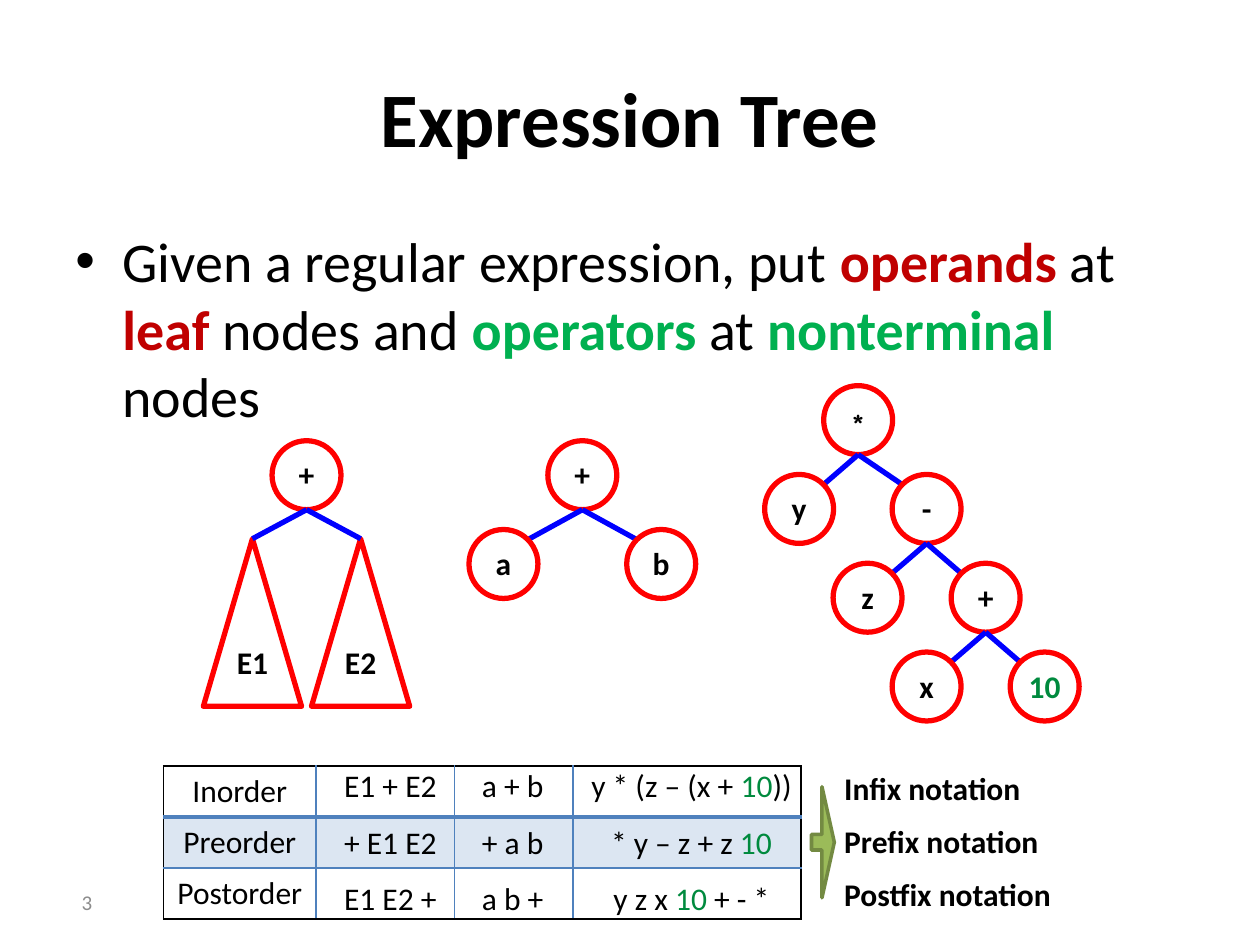
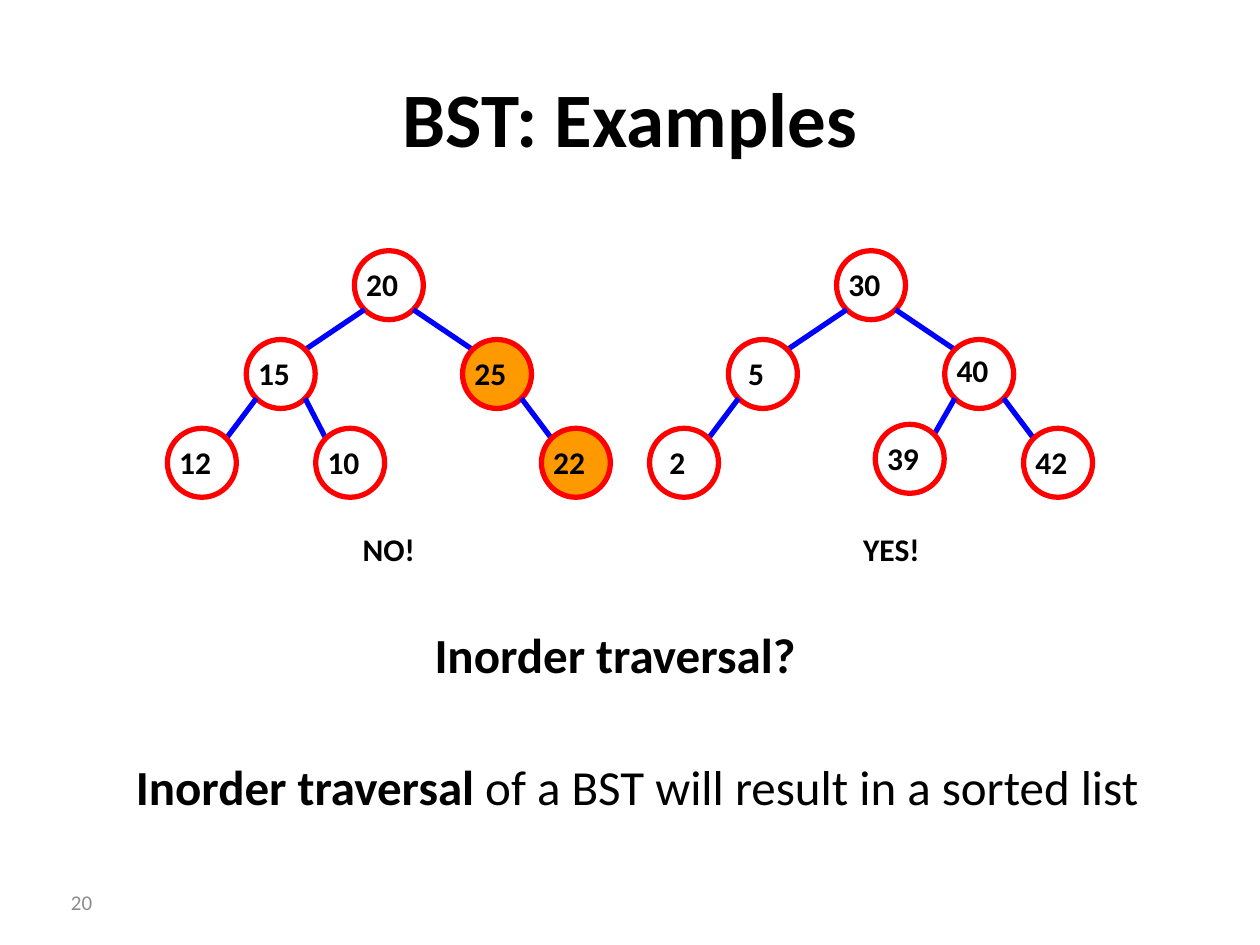
from dataclasses import dataclass
from math import cos, sin, pi

from pptx import Presentation
from pptx.dml.color import RGBColor
from pptx.enum.shapes import MSO_CONNECTOR as Line, MSO_SHAPE as Shape
from pptx.enum.text import MSO_ANCHOR as Anchor, PP_ALIGN as Align
from pptx.oxml.ns import qn
from pptx.util import Cm, Pt
from lxml.etree import SubElement


@dataclass(frozen=True)
class Theme:
    font: str = "Calibri"
    star_font: str = "Comic Neue"
    black: str = "000000"
    red: str = "C00000"
    green: str = "00B050"
    number: str = "008A3E"
    grey: str = "8C8C8C"
    node: str = "FF0000"
    edge: str = "0000FF"
    wrong: str = "FF9900"
    grid: str = "4F81BD"
    band: str = "DCE6F2"
    arrow: str = "9BBB59"
    arrow_line: str = "738A42"
    title: int = 44
    body: int = 32
    note: int = 28
    label: int = 18
    footer: int = 12
    stroke: int = 3


@dataclass(frozen=True)
class Node:
    """A tree node; dx and dy shift its centre, lift raises its label, in cm."""
    label: str
    dx: float = 0
    kids: tuple = ()
    fill: str = None
    color: str = None
    font: str = None
    dy: float = 0
    lift: float = 0.02


T = Theme()
DIAMETER = 1.39
LEVEL = 1.79


# Text helpers
def rgb(color):
    return RGBColor.from_string(color)


def style(r, size, bold=False, color=None, font=None):
    r.font.name = font or T.font
    r.font.size = Pt(size)
    r.font.bold = bold
    r.font.color.rgb = rgb(color or T.black)


def write(tf, runs, size, bold=False, color=None, font=None, align=Align.LEFT):
    """Write one paragraph; runs is a string or (text, bold, colour) tuples."""
    p = tf.paragraphs[0]
    p.alignment = align
    if isinstance(runs, str):
        runs = [(runs, bold, color)]
    for text, is_bold, ink in runs:
        r = p.add_run()
        r.text = text
        style(r, size, is_bold, ink, font)
    return p


def add_text(s, x, y, w, h, runs, size, **options):
    tf = s.shapes.add_textbox(Cm(x), Cm(y), Cm(w), Cm(h)).text_frame
    tf.word_wrap = True
    return write(tf, runs, size, **options)


# Shape helpers
def add_preset(s, kind, x, y, w, h, line, width, fill=None):
    sp = s.shapes.add_shape(kind, Cm(x), Cm(y), Cm(w), Cm(h))
    sp.shadow.inherit = False
    sp.line.color.rgb = rgb(line)
    sp.line.width = Pt(width)
    if fill:
        sp.fill.solid()
        sp.fill.fore_color.rgb = rgb(fill)
    else:
        sp.fill.background()
    return sp


def label_shape(sp, text, color=None, font=None, right=0, lift=0):
    tf = sp.text_frame
    tf.margin_left, tf.margin_right = 0, Cm(right)
    tf.margin_top, tf.margin_bottom = Cm(max(0, -2 * lift)), Cm(max(0, 2 * lift))
    tf.word_wrap = False
    tf.vertical_anchor = Anchor.MIDDLE
    write(tf, text, T.label, True, color, font, Align.CENTER)


def add_edge(s, start, end):
    c = s.shapes.add_connector(Line.STRAIGHT, *map(Cm, start + end))
    c.line.color.rgb = rgb(T.edge)
    c.line.width = Pt(T.stroke)
    SubElement(c._element.spPr, qn("a:effectLst"))
    return c


def on_rim(cx, cy, angle):
    """Point on a node's outline, angle in degrees clockwise from the right."""
    a = angle * pi / 180
    return cx + DIAMETER / 2 * cos(a), cy + DIAMETER / 2 * sin(a)


# Trees
def add_node(s, node, cx, cy, right=0):
    sp = add_preset(s, Shape.OVAL, cx - DIAMETER / 2, cy - DIAMETER / 2,
                    DIAMETER, DIAMETER, T.node, T.stroke, node.fill)
    label_shape(sp, node.label, node.color, node.font, right, node.lift)


def add_tree(s, node, cx, cy, spread=0, right=0):
    """Edges leave a parent at its bottom, turned outwards by spread degrees."""
    add_node(s, node, cx, cy, right)
    for kid in node.kids:
        side = 1 if kid.dx > 0 else -1
        x, y = cx + kid.dx, cy + LEVEL + kid.dy
        add_edge(s, on_rim(cx, cy, 90 - side * spread),
                 on_rim(x, y, -90 - side * 45))
        add_tree(s, kid, x, y, spread, right)


def add_subtree_pattern(s, cx, cy):
    """An operator above two triangles that stand for whole subtrees."""
    add_node(s, Node("+"), cx, cy)
    w, h, dx, drop = 1.98, 3.38, 1.09, 1.28
    for text, side in (("E1", -1), ("E2", 1)):
        x, y = cx + side * dx, cy + drop
        sp = add_preset(s, Shape.ISOSCELES_TRIANGLE, x - w / 2, y, w, h,
                        T.node, T.stroke)
        label_shape(sp, text, lift=0.06)
        add_edge(s, on_rim(cx, cy, 90), (x, y)).end_connect(sp, 0)


# Traversal table
def set_borders(cell, borders):
    tcPr = cell._tc.get_or_add_tcPr()
    for i, (side, (color, width)) in enumerate(borders.items()):
        ln = SubElement(tcPr, qn(f"a:ln{side}"), w=str(Pt(width)))
        SubElement(SubElement(ln, qn("a:solidFill")), qn("a:srgbClr"), val=color)
        tcPr.remove(ln)
        tcPr.insert(i, ln)


def add_order_grid(s, x, y):
    """Table that names the orders and frames the expressions."""
    orders = ("Inorder", "Preorder", "Postorder")
    widths, row_h = (3.07, 2.79, 2.39, 4.6), 1.03
    last_row, last_col = len(orders) - 1, len(widths) - 1
    tbl = s.shapes.add_table(len(orders), len(widths), Cm(x), Cm(y),
                             Cm(sum(widths)), Cm(row_h * len(orders))).table
    tbl.first_row = tbl.horz_banding = False
    for col, width in zip(tbl.columns, widths):
        col.width = Cm(width)
    outer, inner, thick = (T.black, 1), (T.grid, 1), (T.grid, 2)
    for i, order in enumerate(orders):
        tbl.rows[i].height = Cm(row_h)
        for j, cell in enumerate(tbl.rows[i].cells):
            cell.margin_left = cell.margin_right = 0
            cell.margin_top = cell.margin_bottom = 0
            cell.vertical_anchor = Anchor.MIDDLE
            if j == 0:
                write(cell.text_frame, order, T.label, align=Align.CENTER)
            if i == 1:
                cell.fill.solid()
                cell.fill.fore_color.rgb = rgb(T.band)
            else:
                cell.fill.background()
            set_borders(cell, {
                "L": outer if j == 0 else inner,
                "R": outer if j == last_col else inner,
                "T": outer if i == 0 else thick if i == 1 else inner,
                "B": outer if i == last_row else thick if i == 0 else inner,
            })


def add_expressions(s, x, y):
    """Columns of expressions laid over the grid: offset, width, lines."""
    ten = ("10", False, T.number)
    columns = (
        (0, 2.64, ("E1 + E2", "+ E1 E2", "E1 E2 +")),
        (2.64, 2.29, ("a + b", "+ a b", "a b +")),
        (4.95, 4.88, ([("y * (z – (x + ", False, None), ten, ("))", False, None)],
                      [("* y – z + z ", False, None), ten],
                      [("y z x ", False, None), ten, (" + - *", False, None)])),
    )
    for dx, w, lines in columns:
        for i, runs in enumerate(lines):
            add_text(s, x + dx, y + i * 1.14, w, 1.02, runs, T.label,
                     align=Align.CENTER)


def add_notations(s, x, y):
    arrow = add_preset(s, Shape.RIGHT_ARROW, x, y + 0.48, 0.46, 2.24,
                       T.arrow_line, 2, T.arrow)
    arrow.adjustments[0], arrow.adjustments[1] = 0.14, 0.54
    for i, name in enumerate(("Infix", "Prefix", "Postfix")):
        add_text(s, x + 0.41, y + i * 1.07, 5, 1.02, f"{name} notation",
                 T.label, bold=True)


# Slides
def new_slide(prs, title, number):
    s = prs.slides.add_slide(prs.slide_layouts[5])
    sp = s.shapes.title
    sp.left, sp.top, sp.width, sp.height = map(Cm, (1.27, 0.76, 22.86, 3.18))
    tf = sp.text_frame
    tf.text = title
    tf.vertical_anchor = Anchor.MIDDLE
    tf.paragraphs[0].alignment = Align.CENTER
    style(tf.paragraphs[0].runs[0], T.title, True)
    add_text(s, 0.5, 17.8, 1.61, 0.8, number, T.footer, color=T.grey,
             align=Align.RIGHT)
    return s


def add_definition(s, x, y, w, h):
    p = add_text(s, x, y, w, h, [
        ("Given a regular expression, put ", False, None),
        ("operands ", True, T.red), ("at ", False, None),
        ("leaf ", True, T.red), ("nodes and ", False, None),
        ("operators", True, T.green), (" at ", False, None),
        ("nonterminal ", True, T.green), ("nodes", False, None),
    ], T.body)
    pPr = p._p.get_or_add_pPr()
    pPr.set("marL", str(Cm(0.95)))
    pPr.set("indent", str(-Cm(0.95)))
    SubElement(pPr, qn("a:buFont"), typeface="Arial")
    SubElement(pPr, qn("a:buChar"), char="•")


def expression_slide(prs):
    s = new_slide(prs, "Expression Tree", "3")
    add_definition(s, 1.27, 4.45, 22.86, 5.2)
    add_subtree_pattern(s, 6.18, 9.58)
    add_tree(s, Node("+", kids=(Node("a", -1.59), Node("b", 1.59))), 11.74, 9.58)
    step = 1.19
    add_sum = Node("+", step, (Node("x", -step),
                               Node("10", step, color=T.number)))
    subtract = Node("-", 1.38, (Node("z", -step), add_sum))
    multiply = Node("*", kids=(Node("y", -step), subtract), font=T.star_font,
                    lift=-0.08)
    add_tree(s, multiply, 17.3, 8.47)
    add_order_grid(s, 3.3, 15.44)
    add_expressions(s, 6.55, 15.32)
    add_notations(s, 16.36, 15.38)


def bst_slide(prs):
    s = new_slide(prs, "BST: Examples", "20")
    far, near, outer = 2.18, 1.4, 1.59
    invalid = Node("20", kids=(
        Node("15", -far, (Node("12", -outer), Node("10", near))),
        Node("25", far, (Node("22", outer, fill=T.wrong),), T.wrong)))
    valid = Node("30", kids=(
        Node("5", -far, (Node("2", -outer),)),
        Node("40", far, (Node("39", -near, dy=-0.08), Node("42", outer)),
             lift=0.08)))
    for tree, cx, verdict, verdict_x in ((invalid, 7.84, "NO!", 7.84),
                                         (valid, 17.56, "YES!", 17.97)):
        add_tree(s, tree, cx, 5.75, spread=45, right=0.27)
        add_text(s, verdict_x - 1.1, 10.56, 2.2, 1.02, verdict, T.label,
                 bold=True, align=Align.CENTER)
    add_text(s, 8.51, 12.47, 9, 1.45, "Inorder traversal?", T.note, bold=True)
    add_text(s, 2.49, 15.12, 22, 1.45, [
        ("Inorder traversal ", True, None),
        ("of a BST will result in a sorted list", False, None)], T.note)


def main():
    prs = Presentation()
    prs.slide_width, prs.slide_height = Cm(25.4), Cm(19.05)
    expression_slide(prs)
    bst_slide(prs)
    prs.save("out.pptx")


if __name__ == "__main__":
    main()
